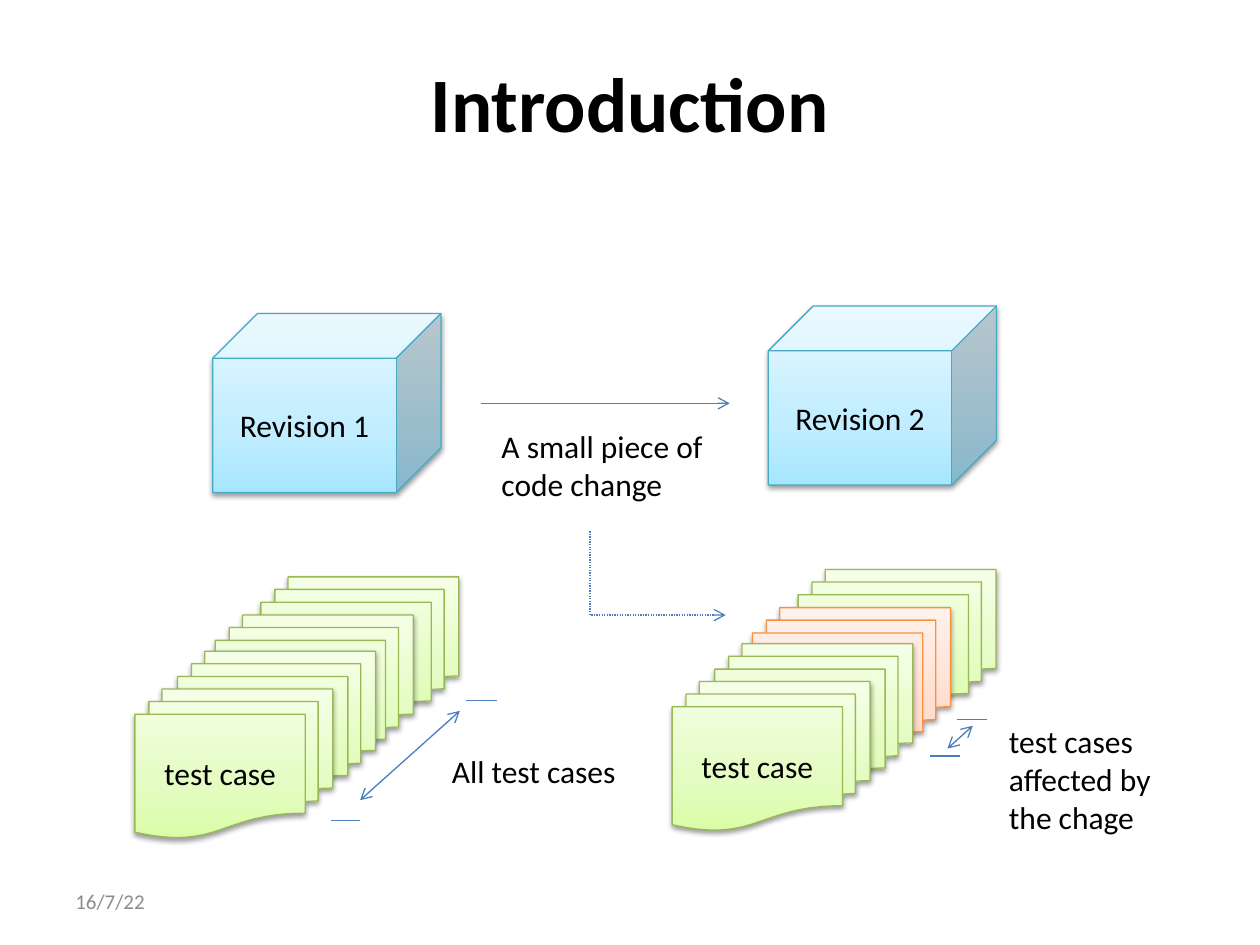
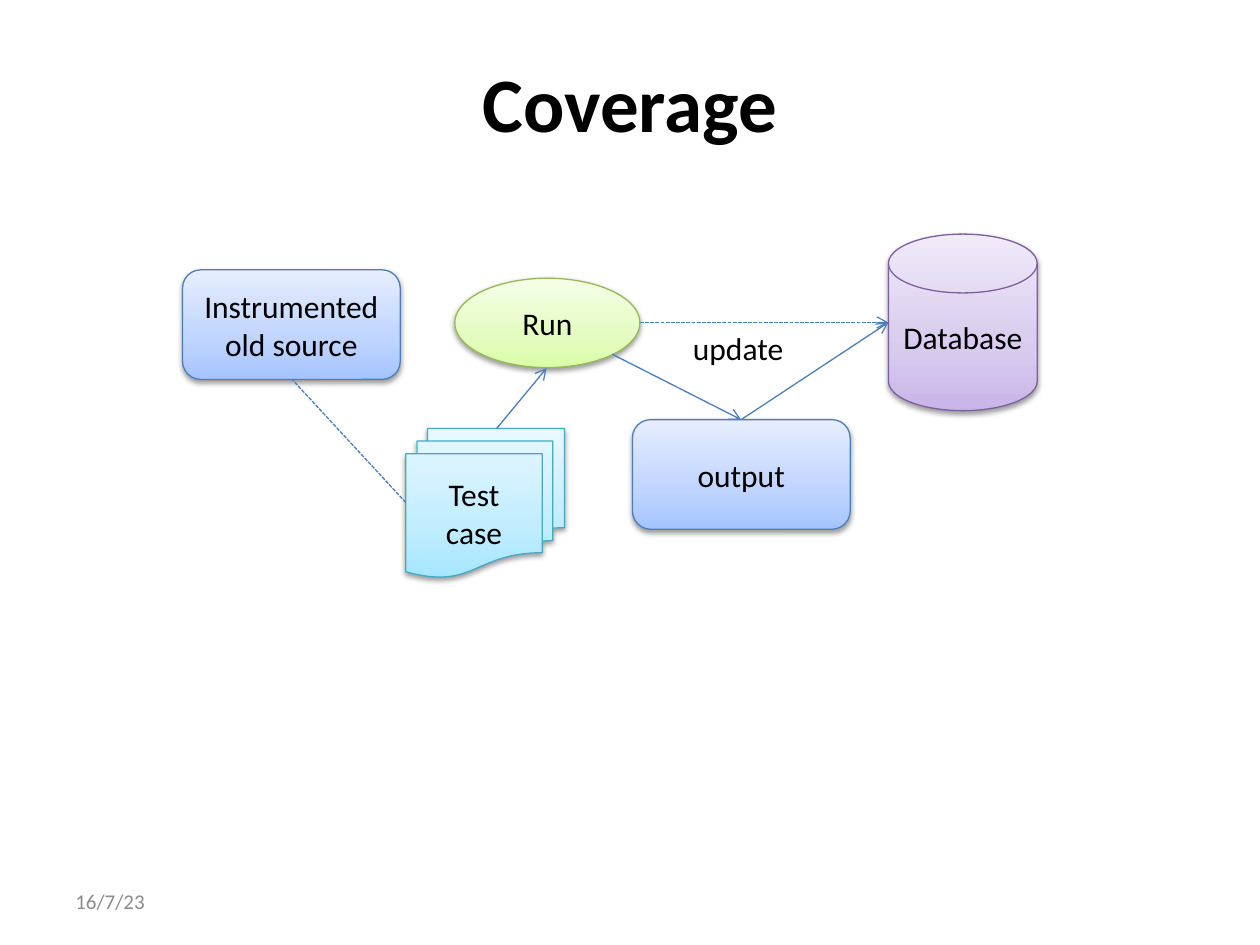
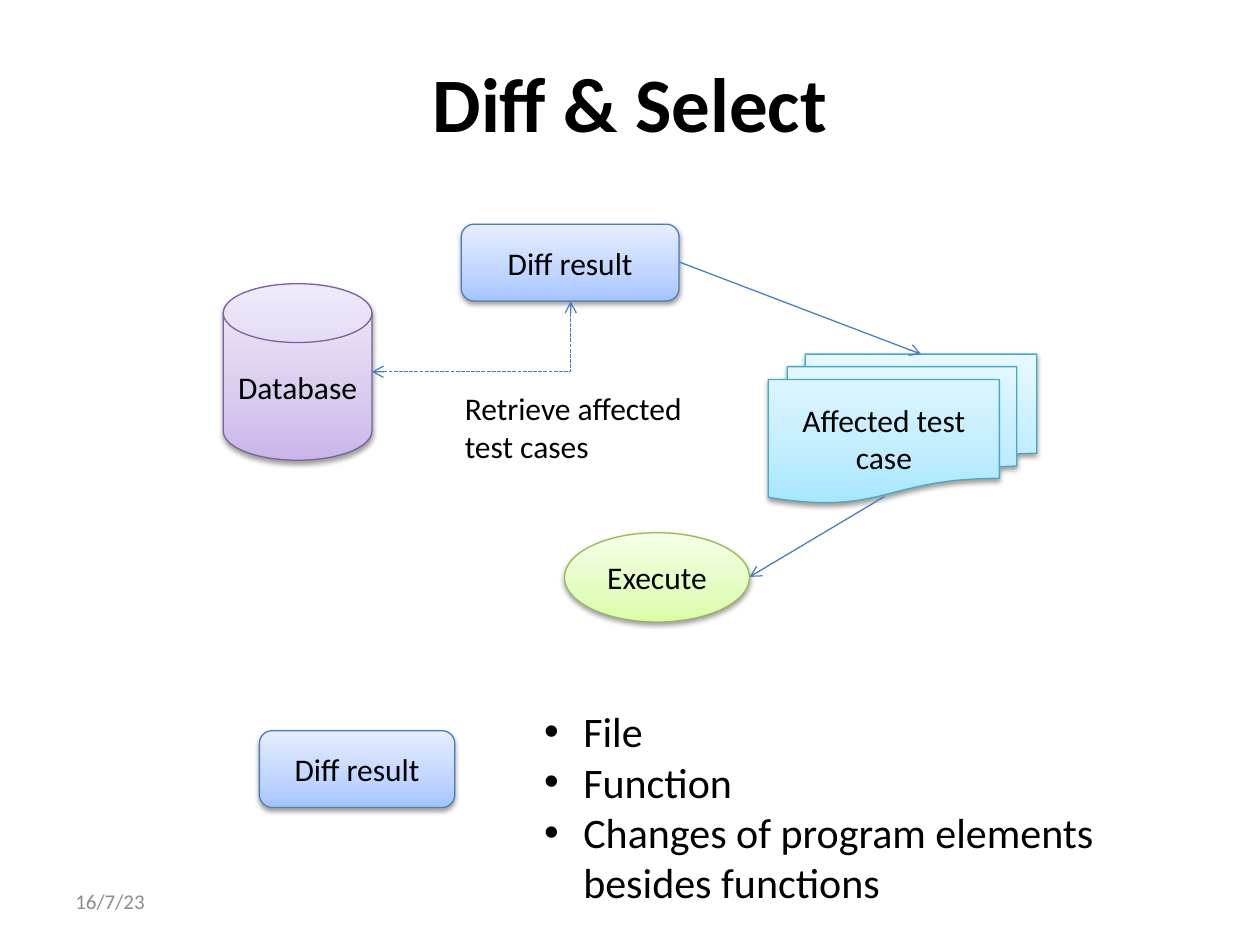
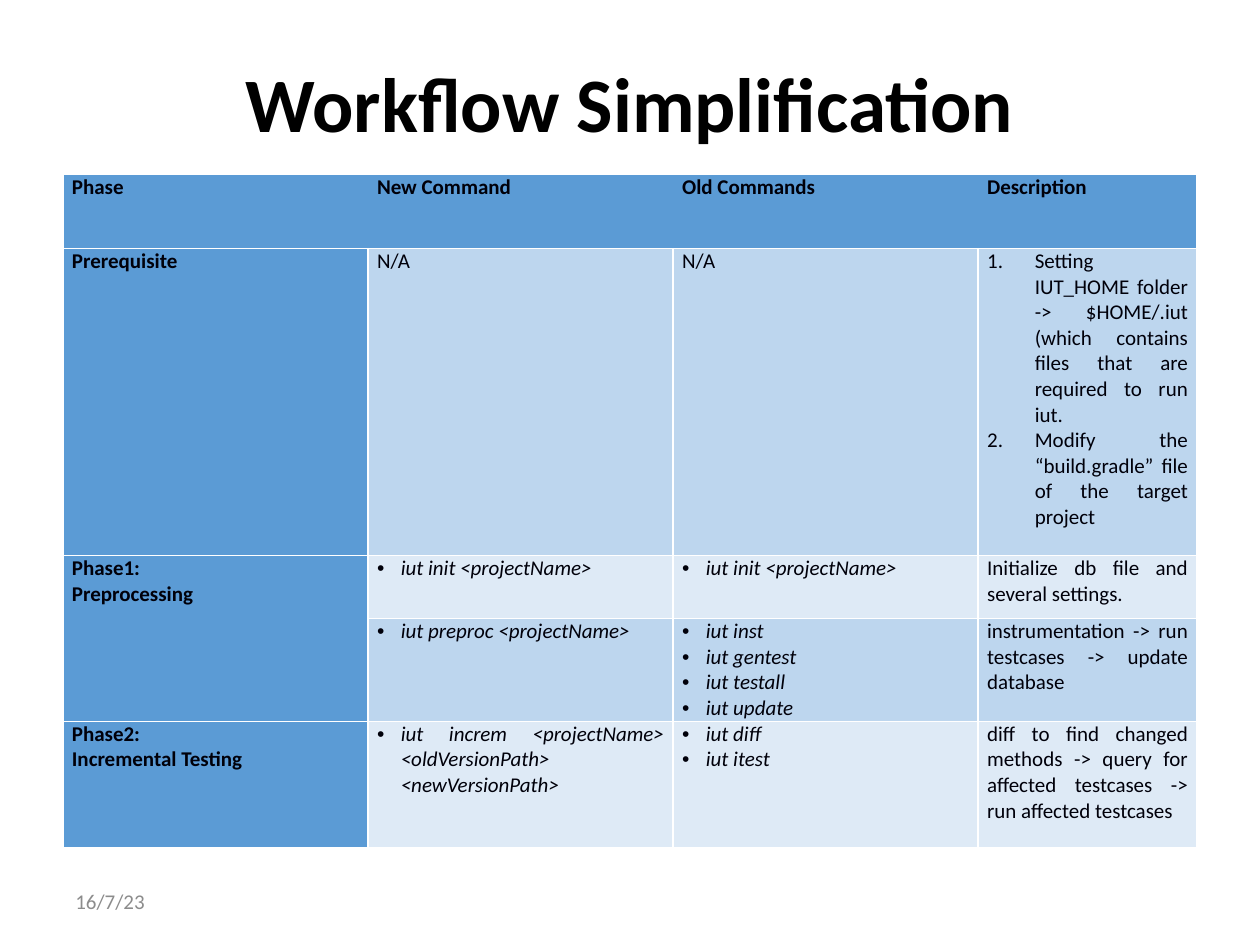
import copy

import pptx
import pptx.chart.data
import pptx.dml.color
import pptx.enum.dml
import pptx.enum.shapes
import pptx.enum.text
import pptx.oxml
import pptx.oxml.ns
import pptx.util

Cm = pptx.util.Cm
Pt = pptx.util.Pt
RGBColor = pptx.dml.color.RGBColor
KIND = pptx.enum.shapes.MSO_SHAPE
LINK = pptx.enum.shapes.MSO_CONNECTOR
ALIGN = pptx.enum.text.PP_ALIGN
ANCHOR = pptx.enum.text.MSO_ANCHOR
DASH = pptx.enum.dml.MSO_LINE.SQUARE_DOT
DOTS = pptx.enum.dml.MSO_LINE.ROUND_DOT
qn = pptx.oxml.ns.qn

FONT = "Calibri"
BLACK = RGBColor(0x00, 0x00, 0x00)
GREY = RGBColor(0x8C, 0x8C, 0x8C)
WHITE = RGBColor(0xFF, 0xFF, 0xFF)
INK = RGBColor(0x00, 0x00, 0x0A)
WIRE = RGBColor(0x4B, 0x7E, 0xBC)
HEAD = RGBColor(0x5B, 0x9B, 0xD5)
MID = RGBColor(0xBD, 0xD6, 0xEE)
PALE = RGBColor(0xDE, 0xEA, 0xF6)

# Each style: line colour, then the fill from bottom to top.
AQUA = [RGBColor.from_string(c) for c in ("46AAC5", "A7E6FF", "C1EDFF", "E7F8FF")]
GREEN = [RGBColor.from_string(c) for c in ("98B955", "DAFDA7", "E4FCC2", "F5FFE7")]
PEACH = [RGBColor.from_string(c) for c in ("F69240", "FFD2BD", "FFDED0", "FFF2ED")]
BLUE = [RGBColor.from_string(c) for c in ("4B7EBC", "A4C4FF", "BFD4FF", "E6EEFF")]
LILAC = [RGBColor.from_string(c) for c in ("7D60A0", "C9B5E8", "D8CBEE", "F0EAF9")]

CUBE = (KIND.CUBE, AQUA, 4.6, 3.61)
PAGES = (KIND.FLOWCHART_MULTIDOCUMENT, GREEN, 3.99, 3)
HIT = (KIND.FLOWCHART_MULTIDOCUMENT, PEACH, 3.99, 3)
CASE = (KIND.FLOWCHART_MULTIDOCUMENT, AQUA, 3.2, 3)
WIDE = (KIND.FLOWCHART_MULTIDOCUMENT, AQUA, 5.41, 3)
BOX = (KIND.ROUNDED_RECTANGLE, BLUE, 4.39, 2.21)
FLAT = (KIND.ROUNDED_RECTANGLE, BLUE, 4.39, 1.55)
SMALL = (KIND.ROUNDED_RECTANGLE, BLUE, 3.94, 1.55)
OVAL = (KIND.OVAL, GREEN, 3.73, 1.8)
DISK = (KIND.FLOWCHART_MAGNETIC_DISK, LILAC, 3, 3.56)

STACK = [(5.26, 11.63), (4.34, 12.4), (3.58, 13.13), (2.72, 13.89)]
SHIFT = (10.83, -0.15)

# Shapes: kind, left, top, text.  Notes: text, box.  Lines: from, to, format.
INTRO = {
    "title": "Introduction", "date": "16/7/22",
    "shapes": [(CUBE, 4.29, 6.32, "Revision 1"), (CUBE, 15.49, 6.17, "Revision 2")],
    "notes": [
        ("A small piece of\ncode change", (9.86, 8.48, 4.78, 1.8), False),
        ("All test cases", (8.86, 15.04, 3.84, 1.02), False),
        ("test cases\naffected by\nthe chage", (20.09, 14.43, 3.56, 2.57), False),
    ],
    "lines": [
        ((9.7, 8.13), (14.71, 8.13), {"tail": True}),
        ((9.4, 14.12), (10.01, 14.12), {}),
        ((6.68, 16.54), (7.26, 16.54), {}),
        ((7.26, 16.13), (9.27, 14.33), {"head": True, "tail": True}),
        ((19.3, 14.5), (19.89, 14.5), {}),
        ((18.75, 15.24), (19.35, 15.24), {}),
        ((19.1, 15.09), (19.61, 14.63), {"head": True, "tail": True}),
        ((11.91, 10.72), (14.63, 12.4), {"tail": True, "dash": DOTS, "bend": 3}),
    ],
}
COVER = {
    "title": "Coverage", "date": "16/7/23",
    "shapes": [
        (CASE, 8.18, 8.64, "Test case"),
        (BOX, 3.68, 5.44, "Instrumented\nold source"),
        (OVAL, 9.17, 5.61, "Run"),
        (DISK, 17.91, 4.72, "Database"),
        (BOX, 12.75, 8.46, "output"),
    ],
    "notes": [("update", (13.72, 6.5, 2.46, 1.02), True)],
    "lines": [
        ((10.01, 8.64), (11.02, 7.42), {"tail": True}),
        ((8.18, 10.13), (5.89, 7.65), {"dash": DASH}),
        ((12.9, 6.5), (17.91, 6.5), {"tail": True, "dash": DASH}),
        ((12.34, 7.14), (14.94, 8.46), {"tail": True}),
        ((14.94, 8.46), (17.91, 6.5), {"tail": True}),
    ],
}
DIFF = {
    "title": "Diff & Select", "date": "16/7/23",
    "shapes": [
        (DISK, 4.5, 5.72, "Database"),
        (FLAT, 9.3, 4.52, "Diff result"),
        (WIDE, 15.49, 7.14, "Affected test case"),
        (OVAL, 11.38, 10.74, "Execute"),
        (SMALL, 5.23, 14.73, "Diff result"),
    ],
    "notes": [("Retrieve affected\ntest cases", (9.12, 7.72, 5.56, 1.8), True)],
    "lines": [
        ((8.79, 4.78), (10.21, 8.79),
         {"head": True, "tail": True, "dash": DASH, "bend": 2}),
        ((13.69, 5.28), (18.57, 7.14), {"tail": True}),
        ((17.83, 10.01), (15.11, 11.63), {"tail": True}),
    ],
}
LEVELS = "File\nFunction\nChanges of program elements besides functions"

FLOW = {"title": "Workflow Simplification", "date": "16/7/23",
        "shapes": [], "notes": [], "lines": []}
COLS = [6.15, 6.15, 6.15, 4.41]
ROWS = [1.5, 6.19, 1.27, 2.07, 2.54]
FILLS = [HEAD, MID, PALE, MID, PALE]
CELLS = [
    ["Phase", "New Command", "Old Commands", "Description"],
    ["Prerequisite", "N/A", "N/A",
     "Setting IUT_HOME folder -> $HOME/.iut (which contains files that are "
     "required to run iut.\n"
     "Modify the \u201cbuild.gradle\u201d file of the target project"],
    ["Phase1:\nPreprocessing", "iut init <projectName>", "iut init <projectName>",
     "Initialize db file and several settings."],
    [None, "iut preproc <projectName>",
     "iut inst\niut gentest\niut testall\niut update",
     "instrumentation -> run testcases -> update database"],
    ["Phase2:\nIncremental Testing",
     "iut increm <projectName> <oldVersionPath> <newVersionPath>",
     "iut diff\niut itest",
     "diff to find changed methods -> query for affected testcases -> "
     "run affected testcases"],
]


def sub(node, tag, **attrs):
    """Append a drawing element and return it."""
    child = node.makeelement(qn(tag), attrs)
    node.append(child)
    return child


def write(frame, text, size=18, color=BLACK, bold=False, italic=False,
          align=ALIGN.LEFT, anchor=None, wrap=True, bullet=None, indent=0):
    """Fill a text frame, one paragraph a line, bullet 'dot' or 'num'."""
    frame.word_wrap = wrap
    if anchor is not None:
        frame.vertical_anchor = anchor
    for i, line in enumerate(text.split("\n")):
        para = frame.add_paragraph() if i else frame.paragraphs[0]
        para.alignment = align
        run = para.add_run()
        run.text = line
        font = run.font
        font.name, font.size, font.bold, font.italic = FONT, Pt(size), bold, italic
        font.color.rgb = color
        if bullet:
            props = para._p.get_or_add_pPr()
            props.set("marL", str(Cm(indent)))
            props.set("indent", str(-Cm(indent)))
            if bullet == "num":
                sub(props, "a:buAutoNum", type="arabicPeriod")
            else:
                sub(props, "a:buFont", typeface="Arial")
                sub(props, "a:buChar", char="\u2022")


def note(slide, text, box, **form):
    """Add a text box."""
    item = slide.shapes.add_textbox(*[Cm(v) for v in box])
    write(item.text_frame, text, **form)


def shade(shape):
    """Give a shape its soft shadow below."""
    shape.shadow.inherit = False
    root = shape._element.spPr.find(qn("a:effectLst"))
    glow = sub(root, "a:outerShdw", blurRad=str(Pt(3.1)), dist=str(Pt(1.6)),
               dir="5400000", rotWithShape="0")
    tint = sub(glow, "a:srgbClr", val="000000")
    sub(tint, "a:alpha", val="38000")


def draw(shapes, kind, left, top, text=""):
    """Add a gradient shape with a centred label."""
    form, (edge, *tones), wide, high = kind
    shape = shapes.add_shape(form, Cm(left), Cm(top), Cm(wide), Cm(high))
    shape.fill.gradient()
    shape.fill.gradient_angle = 90
    stops = shape._element.spPr.find(".//" + qn("a:gsLst"))
    stops.append(copy.deepcopy(stops[-1]))
    for stop, tone, place in zip(shape.fill.gradient_stops, tones, (0, 0.35, 1)):
        stop.color.rgb = tone
        stop.position = place
    shape.line.color.rgb = edge
    shape.line.width = Pt(0.75)
    shade(shape)
    if text:
        write(shape.text_frame, text, align=ALIGN.CENTER, anchor=ANCHOR.MIDDLE)


def link(slide, start, end, head=False, tail=False, dash=None, bend=0):
    """Add a line; bend 3 starts downwards, bend 2 is a corner turned by 90."""
    form = LINK.ELBOW if bend else LINK.STRAIGHT
    line = slide.shapes.add_connector(form, *[Cm(v) for v in start + end])
    line.line.color.rgb = WIRE
    line.line.width = Pt(0.75)
    if dash is not None:
        line.line.dash_style = dash
    props = line._element.spPr
    edge = props.find(qn("a:ln"))
    for tag, on in (("a:headEnd", head), ("a:tailEnd", tail)):
        if on:
            sub(edge, tag, type="arrow")
    sub(props, "a:effectLst")
    shape = props.find(qn("a:prstGeom"))
    if bend == 2:
        shape.set("prst", "bentConnector2")
        props.find(qn("a:xfrm")).set("rot", "5400000")
    elif bend == 3:
        rule = shape.find(qn("a:avLst"))
        if rule is None:
            rule = sub(shape, "a:avLst")
        sub(rule, "a:gd", name="adj1", fmla="val -500")


def page(deck, data):
    """Add a slide with its title, date, shapes, notes and lines."""
    slide = deck.slides.add_slide(deck.slide_layouts[5])
    title = slide.shapes.title
    title.left, title.top, title.width, title.height = (
        Cm(1.27), Cm(0.76), Cm(22.86), Cm(2.57))
    write(title.text_frame, data["title"], size=44, bold=True,
          align=ALIGN.CENTER, anchor=ANCHOR.MIDDLE)
    for item in data["shapes"]:
        draw(slide.shapes, *item)
    for text, box, wrap in data["notes"]:
        note(slide, text, box, wrap=wrap)
    for start, end, form in data["lines"]:
        link(slide, start, end, **form)
    note(slide, data["date"], (1.27, 17.65, 5.92, 1.02), size=12, color=GREY,
         anchor=ANCHOR.MIDDLE)
    return slide


def pile(shapes, kinds, dx=0, dy=0):
    """Stack sets of test cases, the front one labelled."""
    for i, (kind, (x, y)) in enumerate(zip(kinds, STACK)):
        draw(shapes, kind, x + dx, y + dy, "test case" if i == 3 else "")


def frame(cell, sides):
    """Draw white borders on the named sides of a cell."""
    props = cell._tc.get_or_add_tcPr()
    for side in sides:
        edge = sub(props, "a:ln" + side, w=str(Pt(1)))
        sub(sub(edge, "a:solidFill"), "a:srgbClr", val=str(WHITE))


def grid(slide):
    """Add the table of commands."""
    table = slide.shapes.add_table(
        len(ROWS), len(COLS), Cm(1.27), Cm(3.51), Cm(sum(COLS)), Cm(sum(ROWS))).table
    plain = table._tbl.tblPr.find(qn("a:tableStyleId"))
    plain.text = "{2D5ABB26-0587-4C30-8999-92F81FD0307C}"
    for col, wide in zip(table.columns, COLS):
        col.width = Cm(wide)
    for row, high in zip(table.rows, ROWS):
        row.height = Cm(high)
    table.cell(2, 0).merge(table.cell(3, 0))
    last = len(COLS) - 1
    for r, line in enumerate(CELLS):
        for c, text in enumerate(line):
            cell = table.cell(r, c)
            cell.margin_left = cell.margin_right = Cm(0.18)
            cell.margin_top = cell.margin_bottom = 0
            sides = "LRTB"
            if r == 0:
                sides = ("L" if c == 0 else "") + ("R" if c == last else "") + "TB"
            frame(cell, sides)
            cell.fill.solid()
            cell.fill.fore_color.rgb = HEAD if c == 0 else FILLS[r]
            if text is None:
                continue
            code = r > 1 and c in (1, 2)
            steps = r == 1 and c == last
            write(cell.text_frame, text, size=12, color=INK,
                  bold=r == 0 or c == 0, italic=code, align=ALIGN.JUSTIFY,
                  bullet="dot" if code else "num" if steps else None,
                  indent=0.48 if code else 0.96)


def main():
    """Build the deck."""
    deck = pptx.Presentation()
    deck.slide_width, deck.slide_height = Cm(25.4), Cm(19.05)
    intro = page(deck, INTRO)
    pile(intro.shapes.add_group_shape().shapes, [PAGES] * 4)
    pile(intro.shapes, [PAGES, HIT, PAGES, PAGES], *SHIFT)
    page(deck, COVER)
    diff = page(deck, DIFF)
    note(diff, LEVELS, (10.72, 14.1, 11.99, 4.37), size=24, bullet="dot", indent=0.79)
    grid(page(deck, FLOW))
    deck.save("out.pptx")


main()
